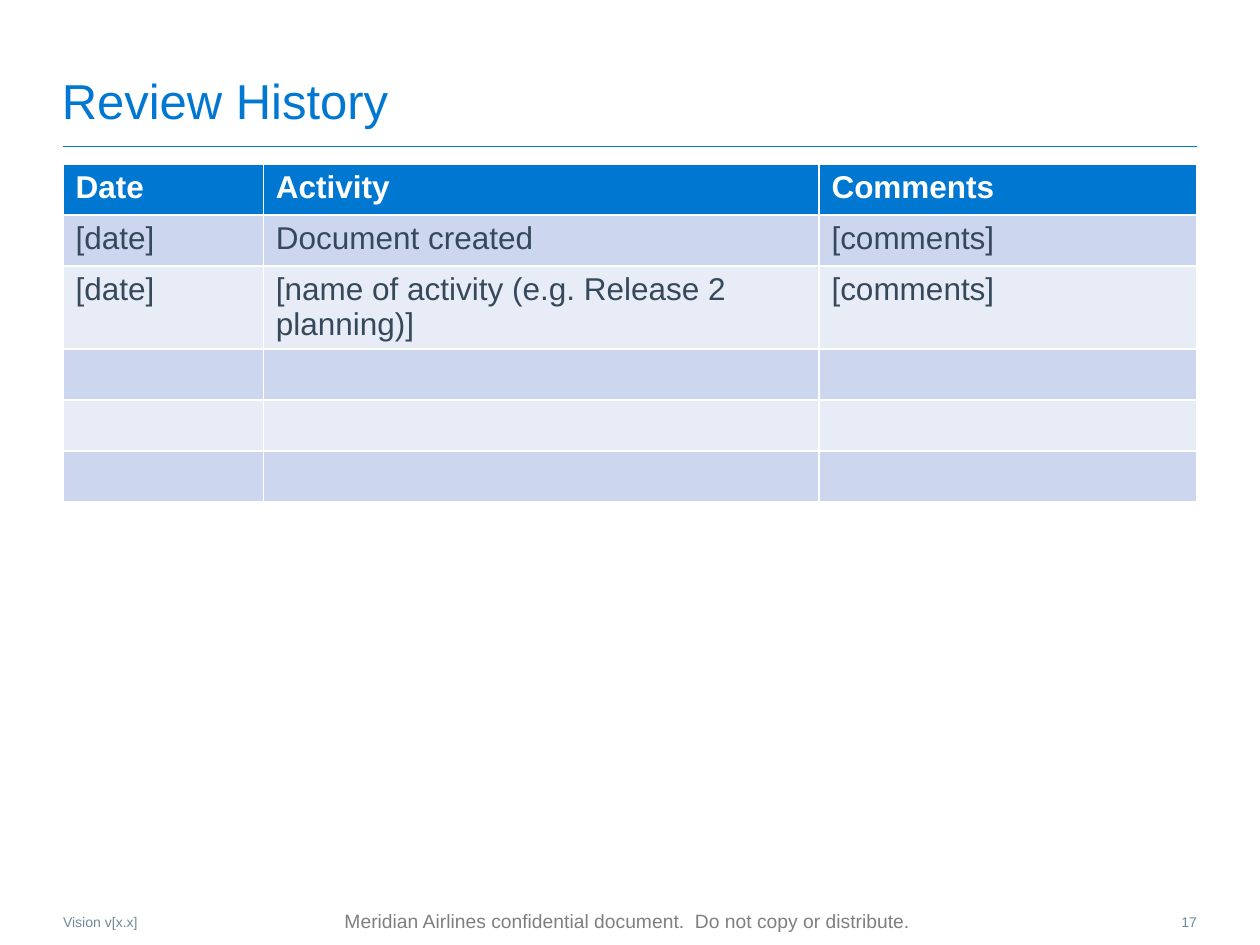
import pptx
import pptx.util
import pptx.dml.color
import pptx.enum.shapes
import pptx.enum.text
import pptx.oxml.ns
import lxml.etree

Pt = pptx.util.Pt
ALIGN = pptx.enum.text.PP_ALIGN
ANCHOR = pptx.enum.text.MSO_ANCHOR

COLORS = {
    "blue": "0078D2",
    "white": "FFFFFF",
    "text": "36495A",
    "muted": "6E8999",
    "gray": "7F7F7F",
    "band_dark": "CCD6EE",
    "band_light": "E7ECF7",
}


class Deck:
    columns, rows = 20, 15
    font = "Arial"

    def __init__(self, width, height):
        self.prs = pptx.Presentation()
        self.prs.slide_width = pptx.util.Inches(width)
        self.prs.slide_height = pptx.util.Inches(height)
        self.s = self.prs.slides.add_slide(self.prs.slide_layouts[5])

    def x(self, columns):
        return round(self.prs.slide_width * columns / self.columns)

    def y(self, rows):
        return round(self.prs.slide_height * rows / self.rows)

    def box(self, left, top, width, height):
        return self.x(left), self.y(top), self.x(width), self.y(height)

    def color(self, name):
        return pptx.dml.color.RGBColor.from_string(COLORS[name])

    def fill_text(self, tf, text, size, color, align=ALIGN.LEFT, bold=False):
        p = tf.paragraphs[0]
        p.text = text
        p.alignment = align
        p.font.name = self.font
        p.font.size = Pt(size)
        p.font.bold = bold
        p.font.color.rgb = self.color(color)

    def frame(self, sp, anchor, wrap=True, margins=(0, 0)):
        tf = sp.text_frame
        tf.auto_size = pptx.enum.text.MSO_AUTO_SIZE.NONE
        tf.word_wrap = wrap
        tf.vertical_anchor = anchor
        tf.margin_left = tf.margin_right = pptx.util.Inches(margins[0])
        tf.margin_top = tf.margin_bottom = pptx.util.Inches(margins[1])
        return tf

    def title(self, text, *area):
        sp = self.s.shapes.title
        sp.left, sp.top, sp.width, sp.height = self.box(*area)
        self.fill_text(self.frame(sp, ANCHOR.BOTTOM), text, 28, "blue")

    def text(self, text, area, size, color, align=ALIGN.LEFT, anchor=ANCHOR.TOP, **frame):
        sp = self.s.shapes.add_textbox(*self.box(*area))
        self.fill_text(self.frame(sp, anchor, **frame), text, size, color, align)

    def rule(self, left, right, top):
        line = self.s.shapes.add_connector(
            pptx.enum.shapes.MSO_CONNECTOR.STRAIGHT,
            self.x(left), self.y(top), self.x(right), self.y(top))
        line.line.color.rgb = self.color("blue")
        line.line.width = Pt(0.5)
        sp_pr = line._element.spPr
        lxml.etree.SubElement(sp_pr, pptx.oxml.ns.qn("a:effectLst"))

    def table(self, records, left, top, widths, row_height):
        area = self.box(left, top, sum(widths), row_height * len(records))
        table = self.s.shapes.add_table(len(records), len(widths), *area).table
        for column, width in zip(table.columns, widths):
            column.width = self.x(width)
        for i, record in enumerate(records):
            table.rows[i].height = self.y(row_height)
            header = i == 0
            band = "blue" if header else "band_dark" if i % 2 else "band_light"
            for cell, value in zip(table.rows[i].cells, record):
                cell.fill.solid()
                cell.fill.fore_color.rgb = self.color(band)
                self.fill_text(cell.text_frame, value, 18,
                               "white" if header else "text", bold=header)


def main():
    deck = Deck(10, 7.5)
    deck.rule(1, 19, 2.32)
    deck.text("Meridian Airlines confidential document.  Do not copy or distribute.",
              (4.02, 14.36, 11.88, 0.52), 11, "gray", ALIGN.CENTER, ANCHOR.MIDDLE,
              wrap=False, margins=(0.1, 0.05))
    deck.title("Review History", 0.98, 0.84, 18.02, 1.22)
    deck.text("Vision v[x.x]", (1, 14.5, 8.5, 0.28), 8, "muted")
    deck.text("17", (18.3, 14.5, 0.7, 0.3), 8, "muted", ALIGN.RIGHT)

    history = [
        ("Date", "Activity", "Comments"),
        ("[date]", "Document created", "[comments]"),
        ("[date]", "[name of activity (e.g. Release 2 planning)]", "[comments]"),
    ]
    blank_rows = [("", "", "")] * 3
    deck.table(history + blank_rows, 1, 2.6, (3.18, 8.82, 6), 0.81)
    deck.prs.save("out.pptx")


if __name__ == "__main__":
    main()
